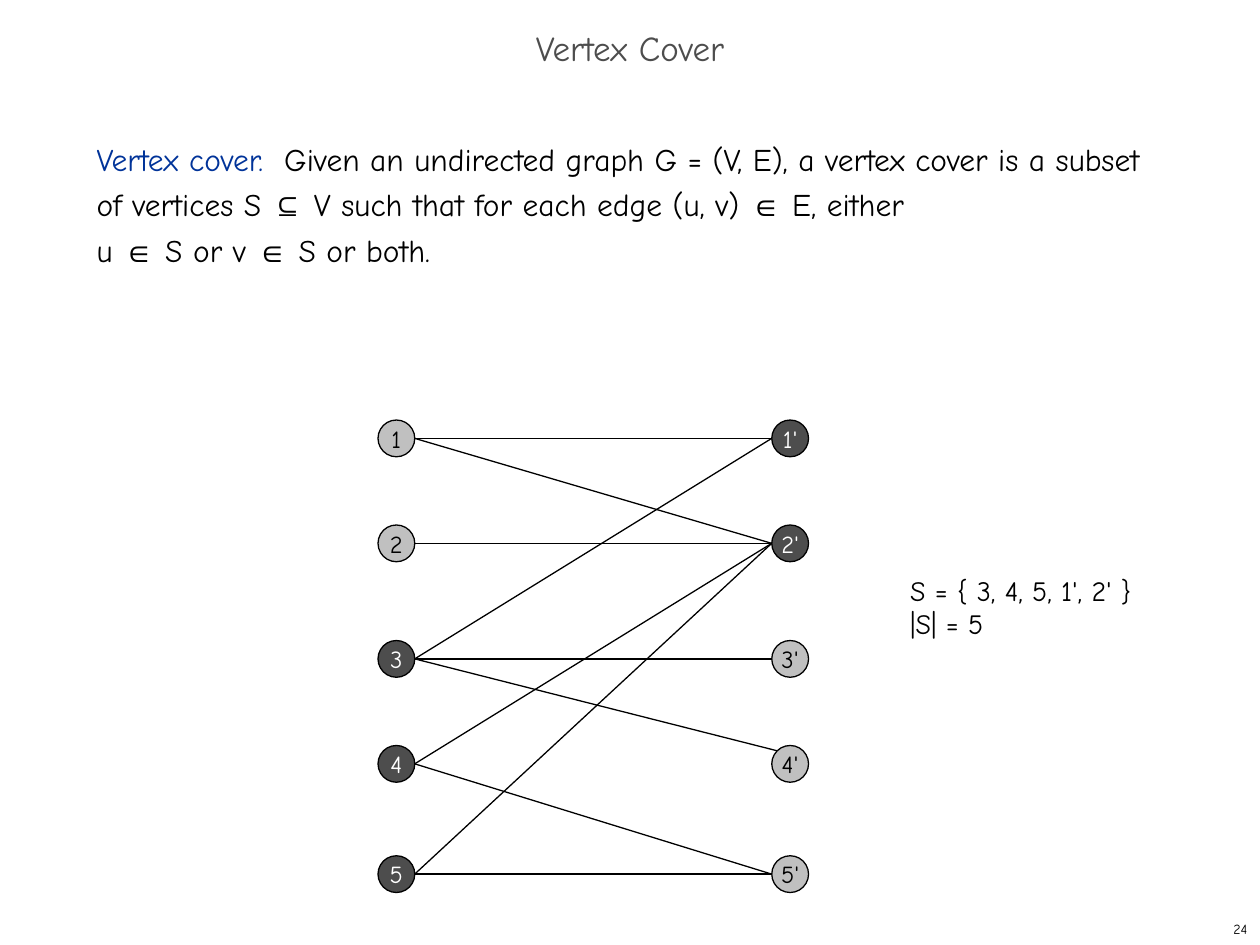
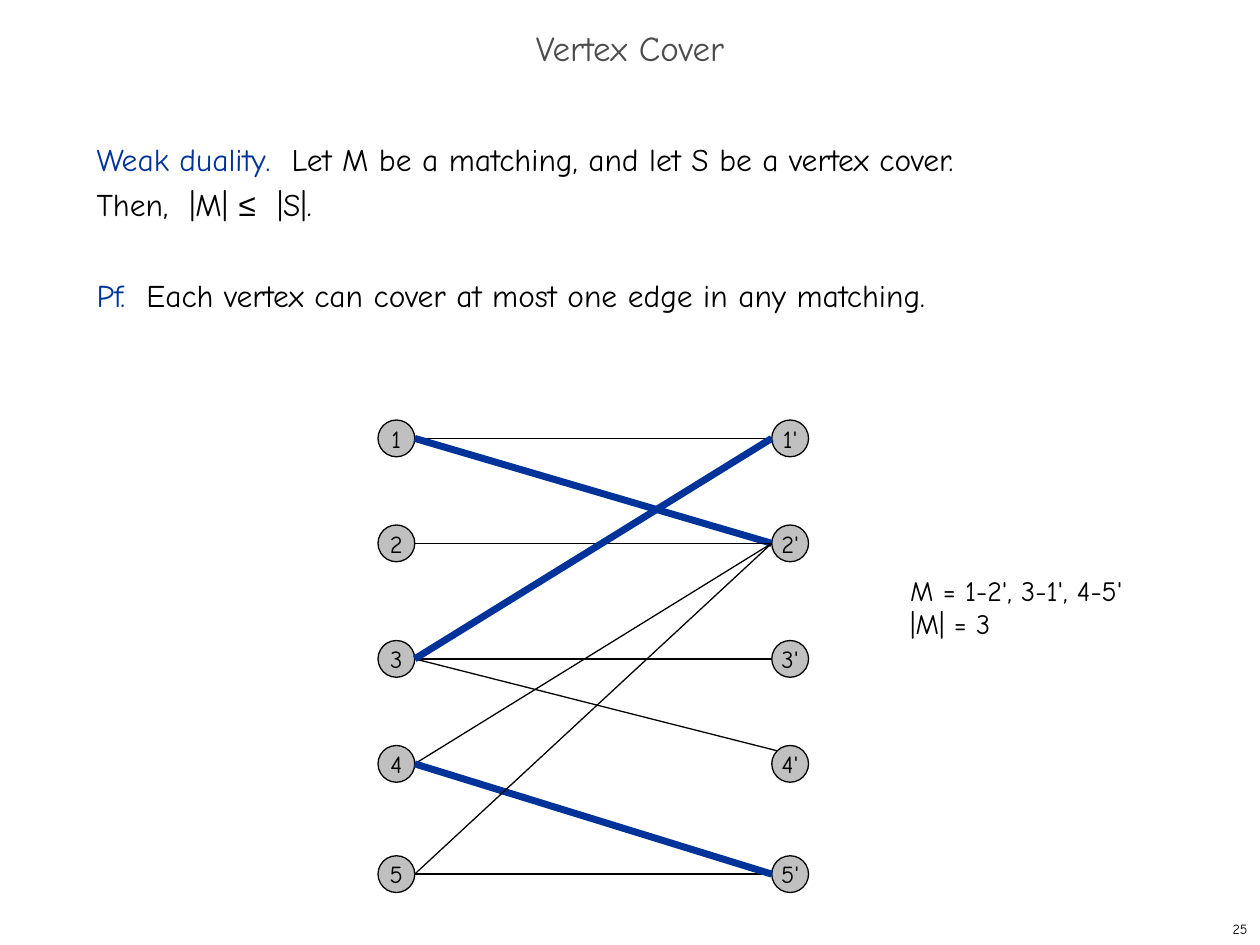
import pptx
import pptx.dml.color
import pptx.enum.shapes
import pptx.enum.text
import pptx.oxml.ns
import pptx.util
from lxml import etree

Pt = pptx.util.Pt
ALIGN = pptx.enum.text.PP_ALIGN
ANCHOR = pptx.enum.text.MSO_ANCHOR
BLACK, WHITE, BLUE, DARK, LIGHT = "000000", "FFFFFF", "003399", "4D4D4D", "C0C0C0"
TEXT_FONT, SYMBOL_FONT = "Comic Neue", "Arial"
SYMBOLS = "⊆∈≤"


def colour(value):
    return pptx.dml.color.RGBColor.from_string(value)


def write(shape, paragraphs, size, frame_format, paragraph_format):
    frame = shape.text_frame
    frame_values = {"auto_size": pptx.enum.text.MSO_AUTO_SIZE.NONE, "word_wrap": True}
    for name, value in (frame_values | frame_format).items():
        setattr(frame, name, value)
    for index, pieces in enumerate(paragraphs):
        paragraph = frame.add_paragraph() if index else frame.paragraphs[0]
        spacing = {"space_before": Pt(26 if index else 0)}
        for name, value in (spacing | paragraph_format).items():
            setattr(paragraph, name, value)
        for text, text_colour in pieces:
            if text == "\n":
                paragraph.add_line_break()
                continue
            run = paragraph.add_run()
            run.text = text
            run.font.size = Pt(size)
            run.font.name = SYMBOL_FONT if text in SYMBOLS else TEXT_FONT
            run.font.color.rgb = colour(text_colour)


presentation = pptx.Presentation()
presentation.slide_width = Pt(720)
presentation.slide_height = Pt(540)

NODE_SIZE = 21
LEFT_COLUMN, RIGHT_COLUMN = 216, 441
ROW_TOPS = [240, 300, 366, 426, 489]
EDGES = ["3-3'", "1-1'", "5-5'", "1-2'", "2-2'", "4-2'", "3-4'", "4-5'", "5-2'", "3-1'"]

node_places = {}
for number, top in enumerate(ROW_TOPS, 1):
    node_places[f"{number}"] = (LEFT_COLUMN, top)
    node_places[f"{number}'"] = (RIGHT_COLUMN, top)

slides = [
    {
        "number": "24",
        "body": [[
            ("Vertex cover.  ", BLUE),
            ("Given an undirected graph G = (V, E), a vertex cover is a subset of vertices S ", BLACK),
            ("⊆", BLACK),
            (" V such that for each edge (u, v) ", BLACK),
            ("∈", BLACK),
            (" E, either", BLACK),
            ("\n", BLACK),
            ("u ", BLACK),
            ("∈", BLACK),
            (" S or v ", BLACK),
            ("∈", BLACK),
            (" S or both.", BLACK),
        ]],
        "cover": ["3", "4", "5", "1'", "2'"],
        "matching": [],
        "result": ["S = { 3, 4, 5, 1', 2' }", "|S| = 5"],
    },
    {
        "number": "25",
        "body": [
            [
                ("Weak duality.", BLUE),
                ("  Let M be a matching, and let S be a vertex cover.", BLACK),
                ("\n", BLACK),
                ("Then,  |M| ", BLACK),
                ("≤", BLACK),
                ("  |S|.", BLACK),
            ],
            [
                ("Pf.", BLUE),
                ("  Each vertex can cover at most one edge in any matching.", BLACK),
            ],
        ],
        "cover": [],
        "matching": ["1-2'", "3-1'", "4-5'"],
        "result": ["M = 1-2', 3-1', 4-5'", "|M| = 3"],
    },
]

for content in slides:
    slide = presentation.slides.add_slide(presentation.slide_layouts[1])
    title, body = slide.placeholders
    for placeholder, box in ((title, (0, 12, 720, 36)), (body, (48, 72, 618, 426))):
        for name, value in zip(("left", "top", "width", "height"), box):
            setattr(placeholder, name, Pt(value))

    write(title, [[("Vertex Cover", DARK)]], 20,
          {"vertical_anchor": ANCHOR.MIDDLE}, {"alignment": ALIGN.CENTER, "line_spacing": 0.7})
    write(body, content["body"], 18,
          {"vertical_anchor": ANCHOR.TOP}, {"alignment": ALIGN.LEFT, "line_spacing": Pt(26)})
    for paragraph in body.text_frame.paragraphs:
        properties = paragraph._p.get_or_add_pPr()
        properties.set("marL", "0")
        properties.set("indent", "0")
        etree.SubElement(properties, pptx.oxml.ns.qn("a:buNone"))

    for label, (left, top) in node_places.items():
        covered = label in content["cover"]
        node = slide.shapes.add_shape(
            pptx.enum.shapes.MSO_SHAPE.OVAL, Pt(left), Pt(top), Pt(NODE_SIZE), Pt(NODE_SIZE))
        node.shadow.inherit = False
        node.fill.solid()
        node.fill.fore_color.rgb = colour(DARK if covered else LIGHT)
        node.line.color.rgb = colour(BLACK)
        node.line.width = Pt(0.75)
        write(node, [[(label, WHITE if covered else BLACK)]], 14,
              {"word_wrap": False, "vertical_anchor": ANCHOR.MIDDLE}, {"alignment": ALIGN.CENTER})

    for edge in EDGES:
        start, end = (node_places[label] for label in edge.split("-"))
        end_x, end_y = end[0], end[1] + NODE_SIZE / 2
        if edge == "3-4'":
            end_x, end_y = end[0] + 3, end[1] + 3
        matched = edge in content["matching"]
        connector = slide.shapes.add_connector(
            pptx.enum.shapes.MSO_CONNECTOR.STRAIGHT,
            Pt(start[0] + NODE_SIZE), Pt(start[1] + NODE_SIZE / 2), Pt(end_x), Pt(end_y))
        connector.line.color.rgb = colour(BLUE if matched else BLACK)
        connector.line.width = Pt(4 if matched else 0.75)
        etree.SubElement(connector._element.spPr, pptx.oxml.ns.qn("a:effectLst"))

    first_line, second_line = content["result"]
    result = slide.shapes.add_textbox(Pt(513), Pt(324), Pt(184), Pt(45))
    write(result, [[(first_line, BLACK), ("\n", BLACK), (second_line, BLACK)]], 16,
          {"vertical_anchor": ANCHOR.TOP}, {"alignment": ALIGN.LEFT})

    page_number = slide.shapes.add_textbox(Pt(570), Pt(522), Pt(150), Pt(18))
    write(page_number, [[(content["number"], BLACK)]], 8,
          {"vertical_anchor": ANCHOR.MIDDLE}, {"alignment": ALIGN.RIGHT})

presentation.save("out.pptx")
